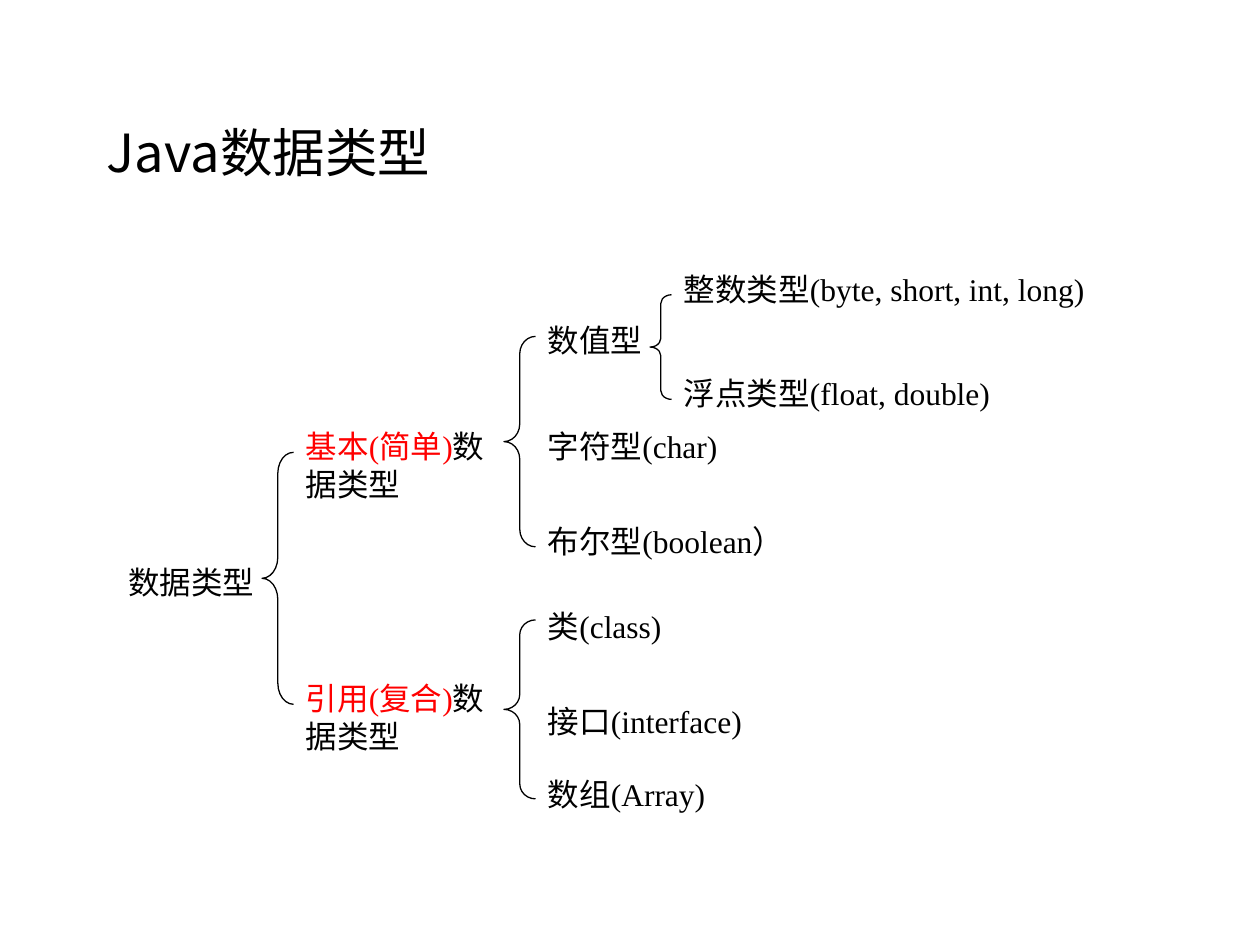
import pptx
import pptx.util
import pptx.dml.color
import pptx.enum.shapes
import pptx.enum.text
import pptx.oxml.ns
from lxml import etree

Inches = pptx.util.Inches
Pt = pptx.util.Pt

HUES = {"ink": "000000", "key": "FF0000"}
CJK = "Noto Sans CJK SC"
SERIF = "Times New Roman"
TITLE = "Java数据类型"

# Left edge of each level of the tree
COLS = (0.92, 2.33, 4.25, 5.33)
LINE, WIDE = 0.4, 0.7

# level, top, width, height, (text, colour) runs
NODES = [
    (0, 4.42, 1.75, LINE, [("数据类型", "ink")]),
    (1, 3.34, 1.75, WIDE, [("基本(简单)", "key"), ("数据类型", "ink")]),
    (1, 5.34, 1.75, WIDE, [("引用(复合)", "key"), ("数据类型", "ink")]),
    (2, 2.5, 1, LINE, [("数值型", "ink")]),
    (2, 3.34, 2, LINE, [("字符型(char)", "ink")]),
    (2, 4.09, 2.18, WIDE, [("布尔型(boolean）", "ink")]),
    (2, 4.77, 1.67, LINE, [("类(class)", "ink")]),
    (2, 5.52, 2, LINE, [("接口(interface)", "ink")]),
    (2, 6.1, 2, LINE, [("数组(Array)", "ink")]),
    (3, 2.09, 3.58, LINE, [("整数类型(byte, short, int, long)", "ink")]),
    (3, 2.92, 3.58, LINE, [("浮点类型(float, double)", "ink")]),
]

# level the brace opens to, top, width, height
BRACES = [
    (1, 3.59, 0.25, 2),
    (2, 2.67, 0.25, 1.67),
    (2, 4.92, 0.25, 1.42),
    (3, 2.34, 0.17, 0.83),
]


def tint(name):
    return pptx.dml.color.RGBColor.from_string(HUES[name])


def write(slide, box, runs, size, face, anchor):
    """Add a wrapped text box; Chinese glyphs always use the CJK face."""
    frame = slide.shapes.add_textbox(*map(Inches, box)).text_frame
    frame.word_wrap = True
    frame.vertical_anchor = anchor
    para = frame.paragraphs[0]
    para.font.size = Pt(size)
    para.font.name = face
    for text, hue in runs:
        run = para.add_run()
        run.text = text
        run.font.color.rgb = tint(hue)
        east = etree.SubElement(run.font._element, pptx.oxml.ns.qn("a:ea"))
        east.set("typeface", CJK)


def brace(slide, level, top, width, height):
    box = (COLS[level] - width, top, width, height)
    kind = pptx.enum.shapes.MSO_SHAPE.LEFT_BRACE
    shape = slide.shapes.add_shape(kind, *map(Inches, box))
    shape.adjustments[0] = height / 12 / width
    shape.shadow.inherit = False
    shape.fill.background()
    shape.line.color.rgb = tint("ink")
    shape.line.width = Pt(0.75)


def main():
    deck = pptx.Presentation()
    deck.slide_width, deck.slide_height = Inches(10), Inches(7.5)
    slide = deck.slides.add_slide(deck.slide_layouts[6])
    anchor = pptx.enum.text.MSO_ANCHOR
    write(slide, (0.75, 0.83, 8.5, 0.75), [(TITLE, "ink")], 30, CJK,
          anchor.MIDDLE)
    for level, top, width, height, runs in NODES:
        box = (COLS[level], top, width, height)
        write(slide, box, runs, 18, SERIF, anchor.TOP)
    for item in BRACES:
        brace(slide, *item)
    deck.save("out.pptx")


if __name__ == "__main__":
    main()
